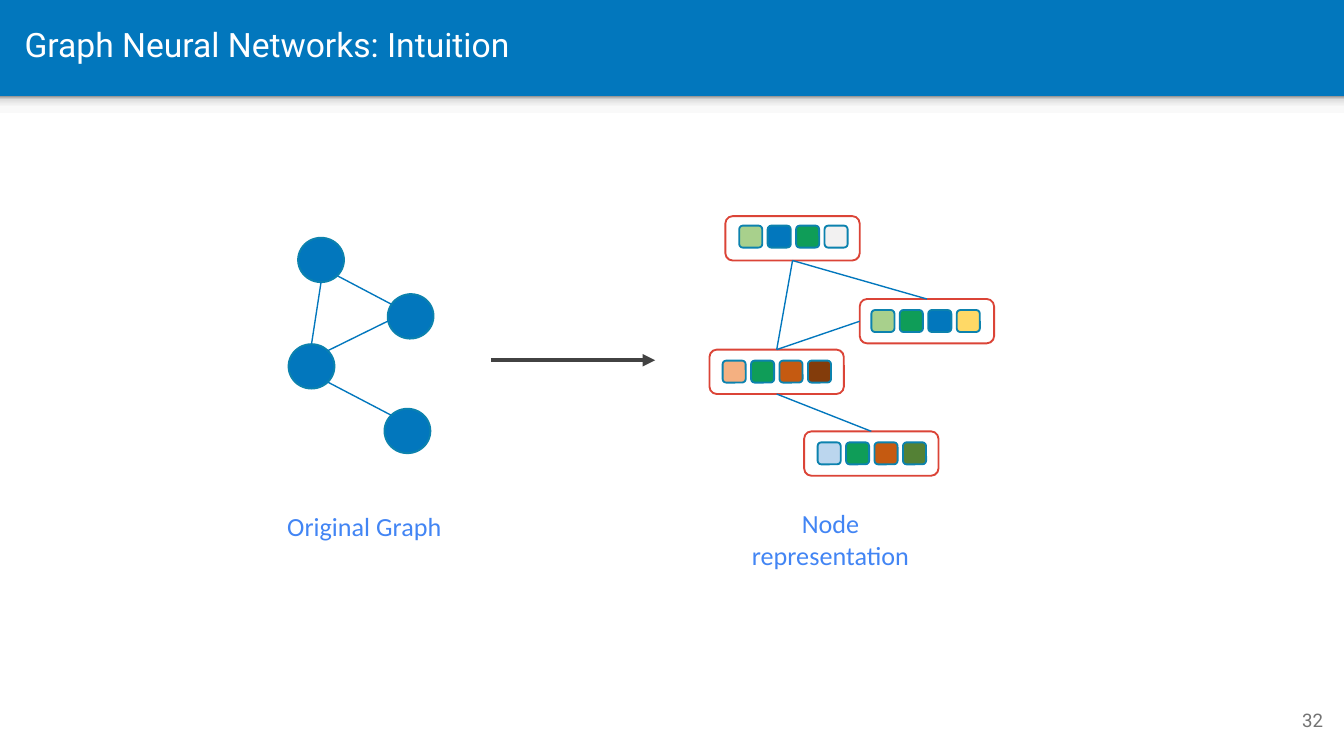
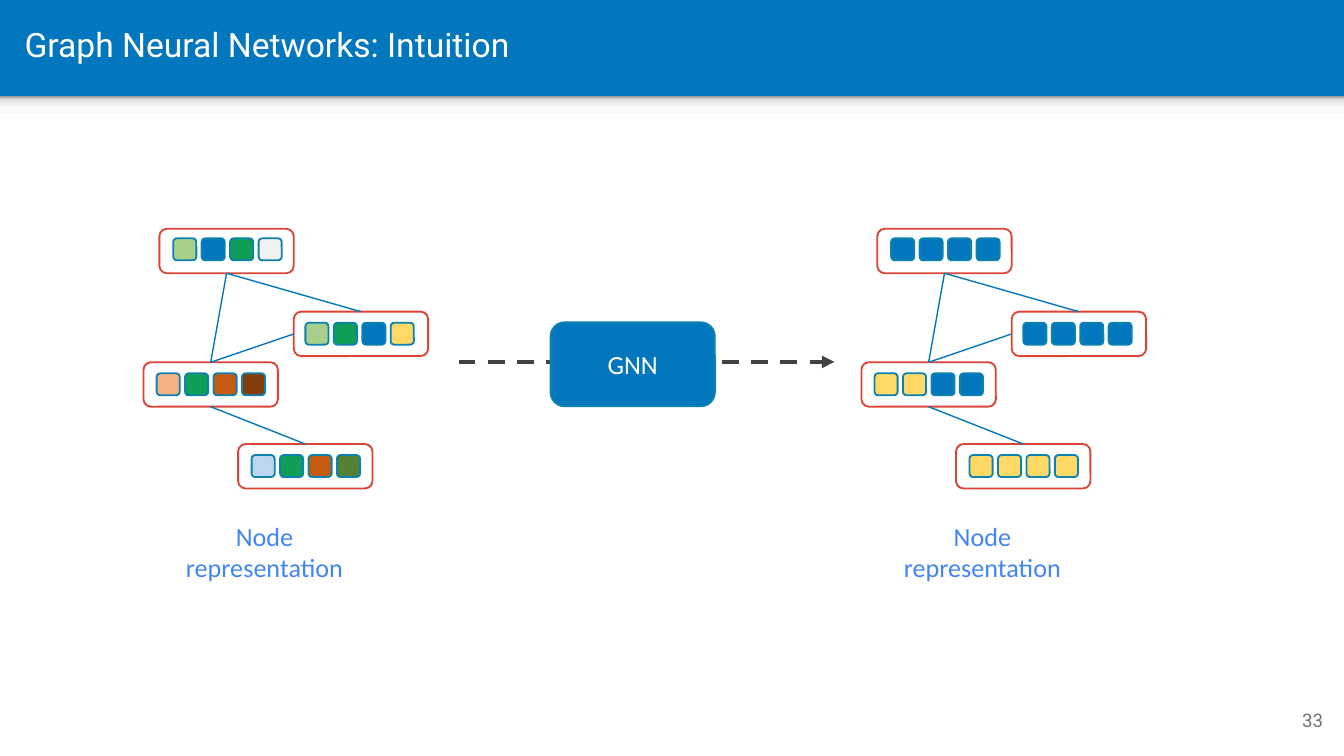
from dataclasses import dataclass
from math import cos, radians, sin

from lxml.etree import SubElement
from pptx import Presentation
from pptx.dml.color import RGBColor
from pptx.enum.dml import MSO_LINE_DASH_STYLE as Dash
from pptx.enum.shapes import MSO_CONNECTOR_TYPE as Link, MSO_SHAPE as Form
from pptx.enum.text import MSO_ANCHOR as Anchor, MSO_AUTO_SIZE as AutoSize, PP_ALIGN as Align
from pptx.oxml.ns import qn
from pptx.util import Pt


@dataclass(frozen=True)
class Theme:
    blue: str = "0277BD"
    teal: str = "0C82AE"
    red: str = "DB4437"
    caption: str = "4285F4"
    white: str = "FFFFFF"
    number: str = "737373"
    arrow: str = "424242"
    lime: str = "A8D08C"
    green: str = "0F9D58"
    pale: str = "F2F1F1"
    yellow: str = "FFD966"
    peach: str = "F4B081"
    rust: str = "C55A11"
    brown: str = "833C0B"
    sky: str = "BBD6EE"
    olive: str = "548135"
    shade: tuple = ((0, "F9F9F9"), (36, "F9F9F9"), (80, "DEDEDE"), (100, "999999"))
    heading_font: str = "Roboto"
    body_font: str = "Calibri"
    title_size: float = 18
    body_size: float = 14
    number_size: float = 10
    outline: float = 1
    edge: float = 0.75
    arrow_width: float = 2.25
    corner: float = 0.167


T = Theme()
WIDTH, HEIGHT, BAND = 720, 405, 51.6
TITLE = "Graph Neural Networks: Intuition"
FIRST_NUMBER = 32

# Feature boxes: left and top within the graph, then inset of the first cell
BOX_W, BOX_H = 72, 23.8
CELL_W, CELL_H, CELL_STEP = 12.4, 11.8, 15.24
FEATURE_BOXES = [
    (8.5, 0, 7.4, 5.1),
    (80.5, 44.4, 6.2, 5.9),
    (0, 71.5, 7, 5.9),
    (50.7, 115.3, 7.2, 5.9),
]
# Edges: box and side (0 top, 1 left, 2 bottom), then box and side
FEATURE_EDGES = [(0, 2, 2, 0), (0, 2, 1, 0), (2, 0, 1, 1), (2, 2, 3, 0)]
INPUT_FEATURES = [
    (T.lime, T.blue, T.green, T.pale),
    (T.lime, T.green, T.blue, T.yellow),
    (T.peach, T.green, T.rust, T.brown),
    (T.sky, T.green, T.rust, T.olive),
]
OUTPUT_FEATURES = [
    (T.blue,) * 4,
    (T.blue,) * 4,
    (T.yellow, T.yellow, T.blue, T.blue),
    (T.yellow,) * 4,
]

# Plain graph: centre and rotation of each disc; edges give disc and angle twice
DISC_W, DISC_H = 24.6, 23.8
DISCS = [(172, 139.3, 0), (220, 169.5, -12), (166.9, 196.3, 0), (218.3, 230.9, 0)]
DISC_EDGES = [(0, 45, 1, 225), (2, 315, 1, 180), (2, 45, 3, 225), (0, 90, 2, 270)]


def rgb(value):
    return RGBColor.from_string(value)


def add_block(parent, form, x, y, w, h, fill=None, line=None):
    """Preset shape with an optional fill and outline."""
    block = parent.shapes.add_shape(form, Pt(x), Pt(y), Pt(w), Pt(h))
    block.shadow.inherit = False
    if form == Form.ROUNDED_RECTANGLE:
        block.adjustments[0] = T.corner
    if fill:
        block.fill.solid()
        block.fill.fore_color.rgb = rgb(fill)
    else:
        block.fill.background()
    if line:
        block.line.color.rgb = rgb(line)
        block.line.width = Pt(T.outline)
    else:
        block.line.fill.background()
    return block


def write(shape, text, size, color, font, align=Align.CENTER, anchor=Anchor.MIDDLE):
    """Put one styled paragraph in a shape and return it."""
    frame = shape.text_frame
    frame.text = text
    frame.word_wrap = True
    frame.vertical_anchor = anchor
    frame.margin_left = frame.margin_right = Pt(5.4)
    frame.margin_top = frame.margin_bottom = Pt(2.7)
    para = frame.paragraphs[0]
    para.alignment = align
    span = para.runs[0]
    span.font.size = Pt(size)
    span.font.name = font
    span.font.color.rgb = rgb(color)
    return para


def add_text(page, x, y, w, h, *style, **layout):
    box = page.shapes.add_textbox(Pt(x), Pt(y), Pt(w), Pt(h))
    return box, write(box, *style, **layout)


def add_caption(page, x, y, w, h, text):
    box, _ = add_text(page, x, y, w, h, text, T.body_size, T.caption, T.body_font,
                      anchor=Anchor.TOP)
    box.text_frame.auto_size = AutoSize.SHAPE_TO_FIT_TEXT


def add_line(parent, start=(0, 0), end=(0, 0), color=T.blue, width=T.edge):
    ends = [Pt(value) for value in (*start, *end)]
    line = parent.shapes.add_connector(Link.STRAIGHT, *ends)
    line.line.color.rgb = rgb(color)
    line.line.width = Pt(width)
    SubElement(line._element.spPr, qn("a:effectLst"))
    return line


def add_arrow(page, x1, x2, y, dash=None):
    arrow = add_line(page, (x1, y), (x2, y), T.arrow, T.arrow_width)
    if dash:
        arrow.line.dash_style = dash
    SubElement(arrow.line._get_or_add_ln(), qn("a:tailEnd"), type="triangle")


def add_shade(page):
    """Soft shadow strip under the title band."""
    strip = add_block(page, Form.RECTANGLE, 0, BAND, WIDTH, 8.9)
    strip.fill.gradient()
    strip.fill.gradient_angle = 90
    stops = strip._element.spPr.find(qn("a:gradFill")).find(qn("a:gsLst"))
    for stop in list(stops):
        stops.remove(stop)
    for percent, color in T.shade:
        stop = SubElement(stops, qn("a:gs"), pos=str(percent * 1000))
        SubElement(stop, qn("a:srgbClr"), val=color)


def add_page(deck, number):
    """Page with title band, white body and page number."""
    page = deck.slides.add_slide(deck.slide_layouts[6])
    page.background.fill.solid()
    page.background.fill.fore_color.rgb = rgb(T.blue)
    add_block(page, Form.RECTANGLE, 0, BAND, WIDTH, HEIGHT - BAND, T.white)
    add_shade(page)
    _, para = add_text(page, 7.8, 1.4, 695, 47.5, TITLE, T.title_size, T.white,
                       T.heading_font, align=Align.LEFT)
    para.line_spacing = 0.9
    add_text(page, 671, 370, 43.2, 31, str(number), T.number_size, T.number,
             T.heading_font, align=Align.RIGHT)
    return page


def disc_point(disc, angle):
    """Point on a disc's rim, clockwise from the right, turned with the disc."""
    x, y, turn = DISCS[disc]
    theta = radians(angle + turn)
    return x + DISC_W / 2 * cos(theta), y + DISC_H / 2 * sin(theta)


def add_plain_graph(page):
    group = page.shapes.add_group_shape()
    for x, y, turn in DISCS:
        disc = add_block(group, Form.OVAL, x - DISC_W / 2, y - DISC_H / 2,
                         DISC_W, DISC_H, T.blue, T.teal)
        disc.rotation = turn
    for first, angle, second, other_angle in DISC_EDGES:
        add_line(group, disc_point(first, angle), disc_point(second, other_angle))


def add_feature_box(page, x, y, inset_x, inset_y, colors):
    """Outlined box holding a row of coloured cells."""
    group = page.shapes.add_group_shape()
    for column, color in enumerate(colors):
        add_block(group, Form.ROUNDED_RECTANGLE, x + inset_x + column * CELL_STEP,
                  y + inset_y, CELL_W, CELL_H, color, T.teal)
    return add_block(group, Form.ROUNDED_RECTANGLE, x, y, BOX_W, BOX_H, line=T.red)


def add_feature_graph(page, left, top, features):
    boxes = [
        add_feature_box(page, left + x, top + y, inset_x, inset_y, colors)
        for (x, y, inset_x, inset_y), colors in zip(FEATURE_BOXES, features)
    ]
    for first, side, second, other_side in FEATURE_EDGES:
        edge = add_line(page)
        edge.begin_connect(boxes[first], side)
        edge.end_connect(boxes[second], other_side)
    add_caption(page, left + 2.2, top + 153.4, 125.3, 39.6, "Node representation")


def build_representation(deck):
    page = add_page(deck, FIRST_NUMBER)
    add_plain_graph(page)
    add_caption(page, 146.2, 270.7, 98, 22.3, "Original Graph")
    add_feature_graph(page, 380.1, 115.8, INPUT_FEATURES)
    add_arrow(page, 263, 351, 193)


def build_network(deck):
    page = add_page(deck, FIRST_NUMBER + 1)
    add_arrow(page, 245.7, 447, 193.9, Dash.DASH)
    add_feature_graph(page, 76.9, 122.6, INPUT_FEATURES)
    add_feature_graph(page, 461.5, 122.6, OUTPUT_FEATURES)
    network = add_block(page, Form.ROUNDED_RECTANGLE, 295, 172.7, 88, 45, T.blue, T.teal)
    write(network, "GNN", T.body_size, T.white, T.body_font)


def main():
    deck = Presentation()
    deck.slide_width, deck.slide_height = Pt(WIDTH), Pt(HEIGHT)
    build_representation(deck)
    build_network(deck)
    deck.save("out.pptx")


if __name__ == "__main__":
    main()
